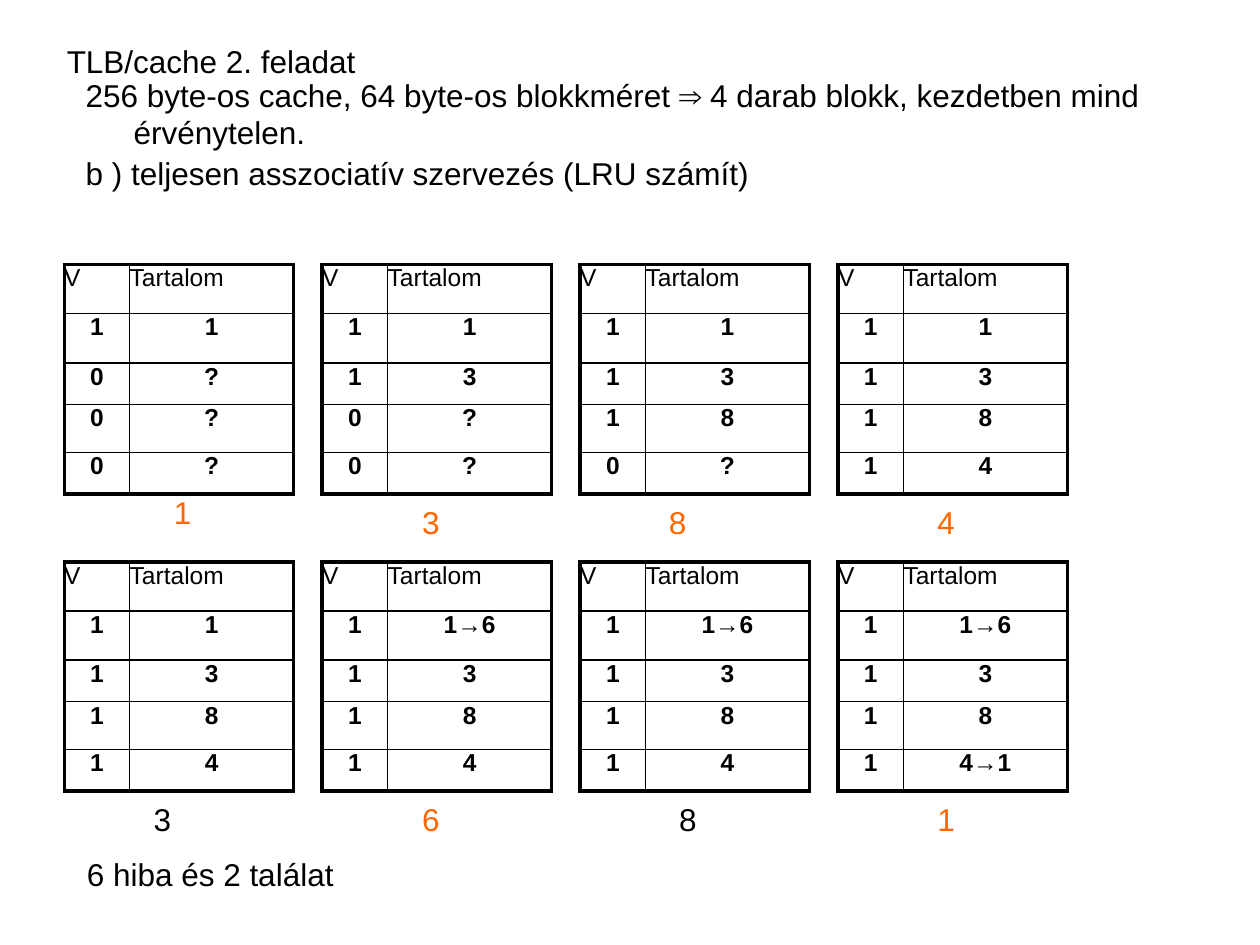
from lxml import etree
from pptx import Presentation
from pptx import util as u
from pptx.dml.color import RGBColor
from pptx.enum import text
from pptx.oxml import ns

BLACK = RGBColor(0x00, 0x00, 0x00)
MISS = RGBColor(0xFF, 0x66, 0x00)
FONT = "Arial"
WIDE, HIGH = u.Inches(10), u.Inches(7.5)
COL, ROW = WIDE // 100, HIGH // 75
COLS = [5.2, 13]
ROWS = [3.9, 3.9, 3.3, 3.8, 3.3]
LEFT, STEP = 5.1, 20.47
THIN, THICK = 1, 2.25
TOPS = [21, 44.6]

STATES = [
    [(["1", "?", "?", "?"], "1", MISS, (13.8, 39.1)),
     (["1", "3", "?", "?"], "3", MISS, (33.5, 39.9)),
     (["1", "3", "8", "?"], "8", MISS, (53.1, 39.9)),
     (["1", "3", "8", "4"], "4", MISS, (74.4, 39.9))],
    [(["1", "3", "8", "4"], "3", BLACK, (12.2, 63.5)),
     (["1→6", "3", "8", "4"], "6", MISS, (33.5, 63.5)),
     (["1→6", "3", "8", "4"], "8", BLACK, (53.9, 63.5)),
     (["1→6", "3", "8", "4→1"], "1", MISS, (74.4, 63.5))],
]


def place(box):
    """Turn a box in grid columns and rows into lengths."""
    x, y, w, h = box
    return int(x * COL), int(y * ROW), int(w * COL), int(h * ROW)


def style(para, size, color=BLACK, bold=False, align=text.PP_ALIGN.LEFT):
    """Set the font and alignment of a paragraph."""
    font = para.font
    font.name, font.size, font.bold = FONT, u.Pt(size), bold
    font.color.rgb = color
    para.alignment = align


def fill_frame(shape, box, lines, color=BLACK, pad=(0.1, 0.05), hang=0):
    """Place a text shape and write its paragraphs."""
    shape.left, shape.top, shape.width, shape.height = place(box)
    frame = shape.text_frame
    frame.word_wrap = True
    frame.auto_size = text.MSO_AUTO_SIZE.NONE
    frame.vertical_anchor = text.MSO_ANCHOR.TOP
    frame.margin_left = frame.margin_right = u.Inches(pad[0])
    frame.margin_top = frame.margin_bottom = u.Inches(pad[1])
    frame.text = "\n".join(lines)
    for i, para in enumerate(frame.paragraphs):
        props = para._p.get_or_add_pPr()
        props.set("marL", str(u.Inches(hang)))
        props.set("indent", str(-u.Inches(hang)))
        etree.SubElement(props, ns.qn("a:buNone"))
        para.space_before = u.Pt(1.8 if i else 0)
        style(para, 18, color)


def add_note(slide, box, line, **look):
    """Add a text box with one line."""
    fill_frame(slide.shapes.add_textbox(*place(box)), box, [line], **look)


def edge(cell, sides):
    """Draw the borders of a cell from side names and widths."""
    props = cell._tc.get_or_add_tcPr()
    for i, (side, width) in enumerate(sides.items()):
        line = etree.Element(ns.qn("a:ln" + side), w=str(u.Pt(width)))
        solid = etree.SubElement(line, ns.qn("a:solidFill"))
        etree.SubElement(solid, ns.qn("a:srgbClr"), val=str(BLACK))
        props.insert(i, line)


def add_cache(slide, x, y, blocks):
    """Add the table of one cache state at a grid point."""
    box = x, y, sum(COLS), sum(ROWS)
    table = slide.shapes.add_table(len(ROWS), len(COLS), *place(box)).table
    table.first_row = table.horz_banding = False
    for col, width in zip(table.columns, COLS):
        col.width = int(width * COL)
    for row, height in zip(table.rows, ROWS):
        row.height = int(height * ROW)
    data = [("V", "Tartalom")] + [("0" if b == "?" else "1", b) for b in blocks]
    for r, pair in enumerate(data):
        for c, word in enumerate(pair):
            cell = table.cell(r, c)
            cell.margin_left = cell.margin_right = 0
            cell.margin_top = cell.margin_bottom = 0
            cell.text = word
            align = text.PP_ALIGN.CENTER if r else text.PP_ALIGN.LEFT
            style(cell.text_frame.paragraphs[0], 14, bold=r > 0, align=align)
            cell.fill.background()
            edge(cell, {"L": THIN if c else THICK,
                        "R": THICK if c else THIN,
                        "T": THIN if r else THICK,
                        "B": THICK if r == len(blocks) else THIN})


def add_states(slide, y, states):
    """Add one row of cache states with the block asked for under each."""
    for i, (blocks, label, color, spot) in enumerate(states):
        add_cache(slide, LEFT + i * STEP, y, blocks)
        add_note(slide, (*spot, 2.4, 3), label, color=color, pad=(0, 0))


def main():
    """Build and save the slide."""
    deck = Presentation()
    deck.slide_width, deck.slide_height = WIDE, HIGH
    slide = deck.slides.add_slide(deck.slide_layouts[1])
    title, body = slide.placeholders
    fill_frame(title, (4.3, 2.8, 29.1, 4), ["TLB/cache 2. feladat"])
    fill_frame(body, (5.8, 5.5, 89, 10.3), [
        "256 byte-os cache, 64 byte-os blokkméret ⇒ 4 darab blokk, "
        "kezdetben mind érvénytelen.",
        "b ) teljesen asszociatív szervezés (LRU számít)"], hang=0.38)
    for y, states in zip(TOPS, STATES):
        add_states(slide, y, states)
    add_note(slide, (5.9, 67.4, 25.2, 4), "6 hiba és 2 találat")
    deck.save("out.pptx")


if __name__ == "__main__":
    main()
